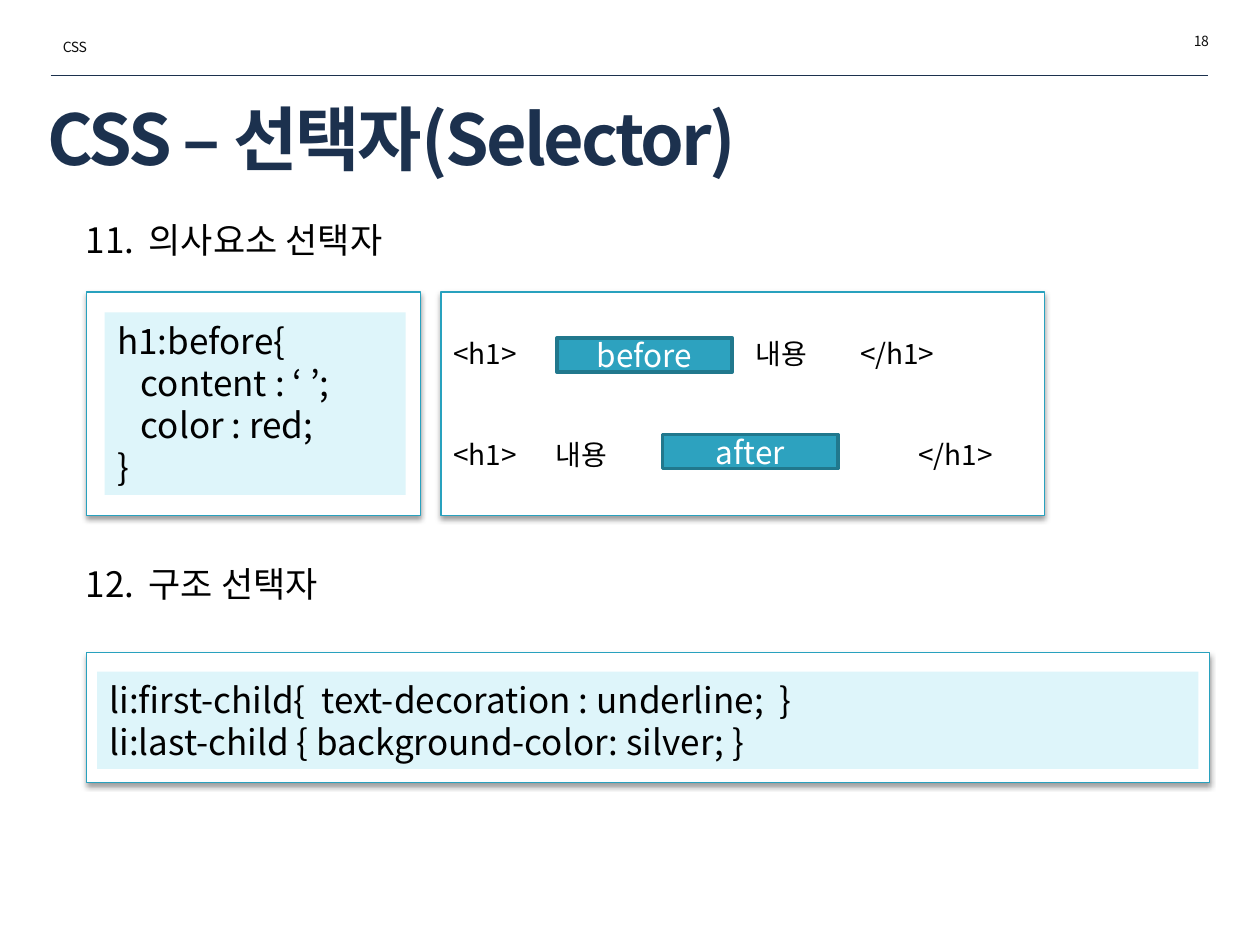
from dataclasses import dataclass
from typing import Optional

from lxml import etree
from pptx import Presentation
from pptx import util as u
from pptx.dml.color import RGBColor
from pptx.enum import shapes, text
from pptx.oxml.ns import qn

FONT = "Noto Sans CJK KR"
HUES = {"navy": "1C314E", "ink": "0D0D0D", "black": "000000", "white": "FFFFFF",
        "edge": "28A1BE", "pale": "DEF5FA", "teal": "2DA2BF", "deep": "21788D"}
MID, TOP, LOW = (text.MSO_ANCHOR.MIDDLE, text.MSO_ANCHOR.TOP,
                 text.MSO_ANCHOR.BOTTOM)
LEFT, MIDST, RIGHT = text.PP_ALIGN.LEFT, text.PP_ALIGN.CENTER, text.PP_ALIGN.RIGHT


@dataclass
class Line:
    words: str
    before: float = 0            # points
    margin: float = 0            # cm
    hang: float = 0              # cm
    tabs: tuple = ()             # cm
    start: Optional[int] = None  # first number of the list


@dataclass
class Box:
    spot: tuple                  # left, top, width, height in cm
    lines: tuple = ()
    size: float = 20
    hue: str = "black"
    fill: Optional[str] = None
    edge: Optional[str] = None
    width: float = 0.75
    shade: bool = False
    anchor: object = MID
    align: object = LEFT
    bold: bool = False
    track: int = 0               # letter spacing, 1/100 pt


def tint(key: str) -> RGBColor:
    return RGBColor.from_string(HUES[key])


def node(root, tag: str, **attrs):
    return etree.SubElement(root, qn(tag), {k: str(v) for k, v in attrs.items()})


def cast(shape) -> None:
    """Give a panel its soft shadow straight below."""
    glow = node(shape._element.spPr.find(qn("a:effectLst")), "a:outerShdw",
                blurRad=40000, dist=20000, dir=5400000, rotWithShape=0)
    node(node(glow, "a:srgbClr", val=HUES["black"]), "a:alpha", val=38000)


def write(para, line: Line, box: Box) -> None:
    para.alignment = box.align
    if line.before:
        para.space_before = u.Pt(line.before)
    props = para._p.get_or_add_pPr()
    if line.margin:
        props.set("marL", str(u.Cm(line.margin)))
        props.set("indent", str(-u.Cm(line.hang)))
    if line.start:
        node(props, "a:buFont", typeface="+mj-lt")
        node(props, "a:buAutoNum", type="arabicPeriod", startAt=line.start)
    if line.tabs:
        stops = node(props, "a:tabLst")
        for stop in line.tabs:
            node(stops, "a:tab", pos=u.Cm(stop), algn="l")
    run = para.add_run()
    run.text = line.words
    for key, val in {"name": FONT, "size": u.Pt(box.size), "bold": box.bold}.items():
        setattr(run.font, key, val)
    run.font.color.rgb = tint(box.hue)
    mark = run._r.get_or_add_rPr()
    node(mark, "a:ea", typeface=FONT)
    if box.track:
        mark.set("spc", str(box.track))


def draw(slide, box: Box) -> None:
    spot = [u.Cm(n) for n in box.spot]
    if box.fill:
        shape = slide.shapes.add_shape(shapes.MSO_SHAPE.RECTANGLE, *spot)
        shape.shadow.inherit = False
        shape.fill.solid()
        shape.fill.fore_color.rgb = tint(box.fill)
        if box.edge:
            shape.line.color.rgb = tint(box.edge)
            shape.line.width = u.Pt(box.width)
        else:
            shape.line.fill.background()
        if box.shade:
            cast(shape)
    else:
        shape = slide.shapes.add_textbox(*spot)
    frame = shape.text_frame
    for key, val in {"word_wrap": True, "vertical_anchor": box.anchor}.items():
        setattr(frame, key, val)
    for i, line in enumerate(box.lines):
        write(frame.add_paragraph() if i else frame.paragraphs[0], line, box)


def panel(spot: tuple, *lines: Line) -> Box:
    return Box(spot, lines, 16, fill="white", edge="edge", shade=True)


def code(spot: tuple, *lines: Line, anchor=MID) -> Box:
    return Box(spot, lines, fill="pale", anchor=anchor)


def chip(left: float, top: float, word: str) -> Box:
    return Box((left, top, 3.53, 0.69), (Line(word),), 18, "white", "teal",
               "deep", 2, align=MIDST)


def small(left: float, top: float, word: str, align) -> Box:
    return Box((left, top, 4.4, 0.61), (Line(word),), 8, "ink", anchor=TOP,
               align=align, track=-30)


def item(words: str, before: float = 0) -> Line:
    return Line(words, before, margin=1.73, hang=1.27, start=11)


PARTS = (
    # Header and title
    small(1.02, 0.66, "CSS", LEFT),
    small(20.22, 0.53, "18", RIGHT),
    Box((0.71, 1.96, 23.52, 1.63), (Line("CSS – 선택자(Selector)"),), 40, "navy",
        bold=True, track=-150),
    # Numbered topics
    Box((1.02, 4.29, 22.96, 8.86),
        (item("의사요소 선택자"), item("구조 선택자", 172)), anchor=TOP),
    # Pseudo-element code
    panel((1.75, 5.89, 6.73, 4.5)),
    code((2.11, 6.3, 6.07, 3.68), Line("h1:before{"),
         Line("content : ‘ ’;", margin=0.48), Line("color : red;", margin=0.48),
         Line("}")),
    # Where before and after land
    panel((8.89, 5.89, 12.17, 4.5),
          Line("<h1>\t내용\t</h1>", tabs=(6.1, 8.2)),
          Line("<h1>\t내용\t</h1>", 38.4, tabs=(2.06, 9.37))),
    chip(11.23, 6.81, "before"),
    chip(13.36, 8.76, "after"),
    # Structural code
    panel((1.75, 13.16, 22.63, 2.62)),
    code((1.96, 13.54, 22.2, 1.96),
         Line("li:first-child{  text-decoration : underline;  }"),
         Line("li:last-child { background-color: silver; }"), anchor=LOW),
)


def main() -> None:
    deck = Presentation()
    deck.slide_width, deck.slide_height = u.Cm(25.4), u.Cm(19.05)
    slide = deck.slides.add_slide(deck.slide_layouts[6])
    # Header rule
    rule = slide.shapes.add_connector(
        shapes.MSO_CONNECTOR.STRAIGHT,
        u.Cm(1.02), u.Cm(1.52), u.Cm(24.36), u.Cm(1.52))
    rule.line.color.rgb = tint("navy")
    rule.line.width = u.Pt(0.25)
    node(rule._element.spPr, "a:effectLst")
    for part in PARTS:
        draw(slide, part)
    deck.save("out.pptx")


if __name__ == "__main__":
    main()
